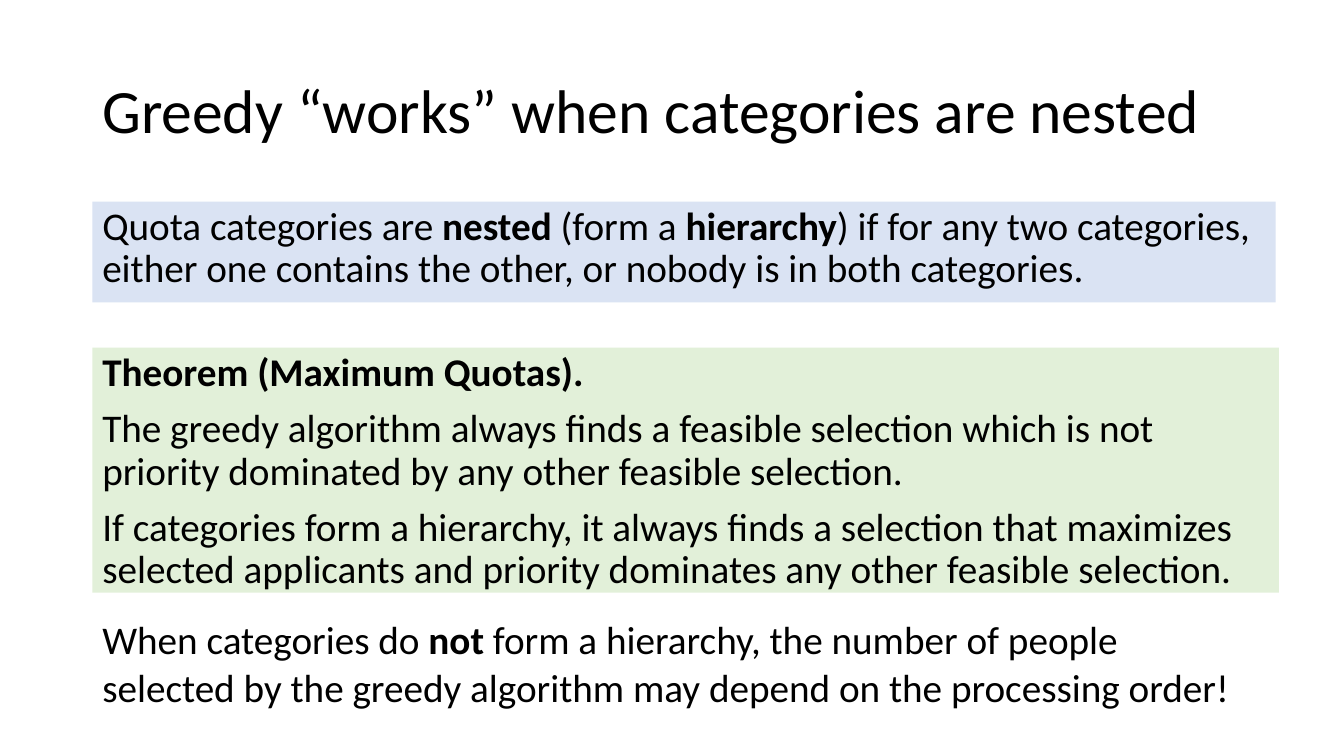
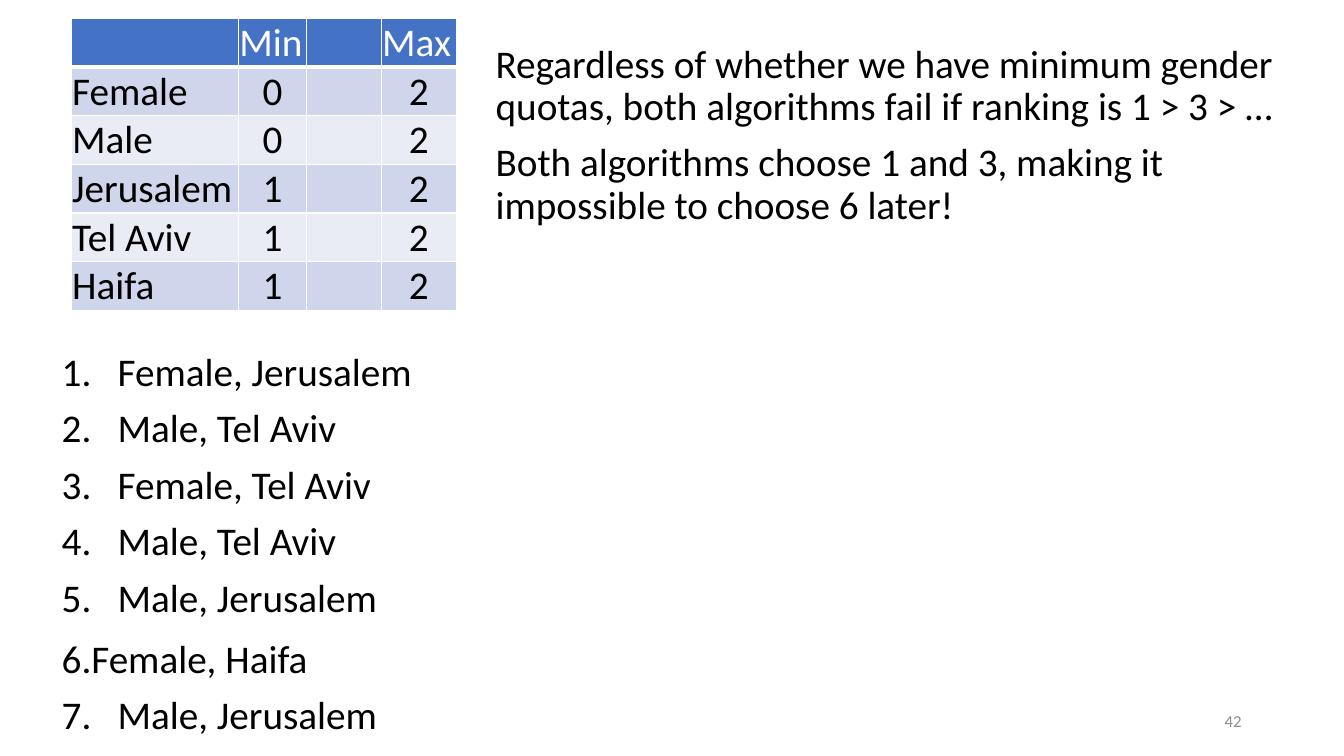
from dataclasses import dataclass

from lxml import etree
from pptx import Presentation
from pptx import util as u
from pptx.dml import color
from pptx.enum import shapes, text
from pptx.oxml import ns

Pt = u.Pt
ALIGN = text.PP_ALIGN
ANCHOR = text.MSO_ANCHOR


@dataclass(frozen=True)
class Theme:
    font: str = "Calibri"
    ink: str = "000000"
    white: str = "FFFFFF"
    muted: str = "8C8C8C"
    definition: str = "DAE3F3"
    theorem: str = "E2F0D9"
    header: str = "4472C4"
    bands: tuple = ("CFD5EA", "E9EBF5")
    title_size: int = 44
    body_size: int = 28
    number_size: int = 12
    line_spacing: float = 0.9
    paragraph_gap: int = 10
    list_indent: int = 40


class Deck:
    def __init__(self, theme):
        self.theme = theme
        self.presentation = Presentation()
        self.presentation.slide_width = Pt(960)
        self.presentation.slide_height = Pt(540)
        self.slide = None

    def new_slide(self):
        self.slide = self.presentation.slides.add_slide(self.presentation.slide_layouts[6])

    def fill(self, target, rgb):
        target.fill.solid()
        target.fill.fore_color.rgb = color.RGBColor.from_string(rgb)

    def add_runs(self, paragraph, runs, size=None, rgb=None):
        for words, bold in runs:
            run = paragraph.add_run()
            run.text = words
            run.font.name = self.theme.font
            run.font.size = Pt(size or self.theme.body_size)
            run.font.bold = bold
            run.font.color.rgb = color.RGBColor.from_string(rgb or self.theme.ink)

    def paragraphs(self, frame, items, size=None, rgb=None, spacing=None, align=ALIGN.LEFT):
        frame.word_wrap = True
        for index, runs in enumerate(items):
            paragraph = frame.add_paragraph() if index else frame.paragraphs[0]
            paragraph.alignment = align
            paragraph.line_spacing = spacing or self.theme.line_spacing
            if index:
                paragraph.space_before = Pt(self.theme.paragraph_gap)
            self.add_runs(paragraph, runs, size, rgb)

    def text_box(self, box, items, anchor=ANCHOR.TOP, **style):
        frame = self.slide.shapes.add_textbox(*map(Pt, box)).text_frame
        frame.vertical_anchor = anchor
        self.paragraphs(frame, items, **style)
        return frame

    def title(self, words):
        self.text_box((66, 29, 894, 104), [[(words, False)]], ANCHOR.MIDDLE,
                      size=self.theme.title_size)

    def panel(self, box, rgb, items):
        shape = self.slide.shapes.add_shape(shapes.MSO_SHAPE.RECTANGLE, *map(Pt, box))
        shape.shadow.inherit = False
        shape.line.fill.background()
        self.fill(shape, rgb)
        shape.text_frame.vertical_anchor = ANCHOR.TOP
        self.paragraphs(shape.text_frame, items)

    def numbered_list(self, box, items, outdented):
        frame = self.text_box(box, [[(item, False)] for item in items])
        indent = Pt(self.theme.list_indent)
        for number, paragraph in enumerate(frame.paragraphs, 1):
            properties = paragraph._p.get_or_add_pPr()
            properties.set("marL", str(0 if number == outdented else indent))
            properties.set("indent", str(-indent))
            etree.SubElement(properties, ns.qn("a:buAutoNum"), type="arabicPeriod")
            if number == outdented:
                paragraph.line_spacing = 1.0

    def slide_number(self, number):
        self.text_box((678, 500, 216, 29), [[(str(number), False)]], ANCHOR.MIDDLE,
                      size=self.theme.number_size, rgb=self.theme.muted,
                      spacing=1.0, align=ALIGN.RIGHT)

    def border(self, cell, side, width):
        properties = cell._tc.get_or_add_tcPr()
        line = etree.SubElement(properties, ns.qn("a:ln" + side), w=str(Pt(width)))
        solid = etree.SubElement(line, ns.qn("a:solidFill"))
        etree.SubElement(solid, ns.qn("a:srgbClr"), val=self.theme.white)

    def table(self, left, top, widths, row_height, rows):
        frame = self.slide.shapes.add_table(
            len(rows), len(widths), Pt(left), Pt(top),
            Pt(sum(widths)), Pt(row_height * len(rows)))
        table = frame.table
        table.first_row = table.horz_banding = False
        for column, width in zip(table.columns, widths):
            column.width = Pt(width)
        for r, row in enumerate(rows):
            table.rows[r].height = Pt(row_height)
            for c, value in enumerate(row):
                self.cell(table.cell(r, c), r, c, value)

    def cell(self, cell, row, column, value):
        theme = self.theme
        for side, heavy in (("L", False), ("R", False), ("T", row == 1), ("B", row == 0)):
            self.border(cell, side, 3 if heavy else 1)
        self.fill(cell, theme.bands[(row - 1) % 2] if row else theme.header)
        cell.margin_left = cell.margin_right = cell.margin_top = Pt(0.6)
        cell.margin_bottom = Pt(0)
        cell.vertical_anchor = ANCHOR.MIDDLE
        if value:
            paragraph = cell.text_frame.paragraphs[0]
            paragraph.alignment = ALIGN.CENTER if row and column else ALIGN.LEFT
            self.add_runs(paragraph, [(value, False)], rgb=theme.ink if row else theme.white)


def nested_categories(deck):
    deck.new_slide()
    deck.title("Greedy “works” when categories are nested")
    deck.panel((66, 248.4, 847.5, 175), deck.theme.theorem, [
        [("Theorem (Maximum Quotas).", True)],
        [("The greedy algorithm always finds a feasible selection which is not "
          "priority dominated by any other feasible selection.", False)],
        [("If categories form a hierarchy, it always finds a selection that maximizes "
          "selected applicants and priority dominates any other feasible selection.", False)],
    ])
    deck.text_box((66, 436.3, 828, 75), [[
        ("When categories do ", False), ("not ", True),
        ("form a hierarchy, the number of people selected by the greedy algorithm "
         "may depend on the processing order!", False),
    ]], spacing=1.0)
    deck.panel((66, 144, 845.3, 72), deck.theme.definition, [[
        ("Quota categories are ", False), ("nested", True),
        (" (form a ", False), ("hierarchy", True),
        (") if for any two categories, either one contains the other, "
         "or nobody is in both categories.", False),
    ]])


def failing_example(deck):
    deck.new_slide()
    deck.text_box((347, 28, 573, 343), [
        [("Regardless of whether we have minimum gender quotas, "
          "both algorithms fail if ranking is 1 > 3 > …", False)],
        [("Both algorithms choose 1 and 3, making it impossible to choose 6 later!", False)],
    ])
    deck.slide_number(42)
    deck.numbered_list((37, 248.4, 275, 290), [
        "Female, Jerusalem", "Male, Tel Aviv", "Female, Tel Aviv", "Male, Tel Aviv",
        "Male, Jerusalem", "Female, Haifa", "Male, Jerusalem",
    ], outdented=6)
    minimums = {"Female": "0", "Male": "0", "Jerusalem": "1", "Tel Aviv": "1", "Haifa": "1"}
    rows = [("", "Min", "", "Max")]
    rows += [(category, minimum, "", "2") for category, minimum in minimums.items()]
    deck.table(51, 13, (119.5, 48.5, 53.5, 53.5), 34.8, rows)


def main():
    deck = Deck(Theme())
    nested_categories(deck)
    failing_example(deck)
    deck.presentation.save("out.pptx")


if __name__ == "__main__":
    main()
